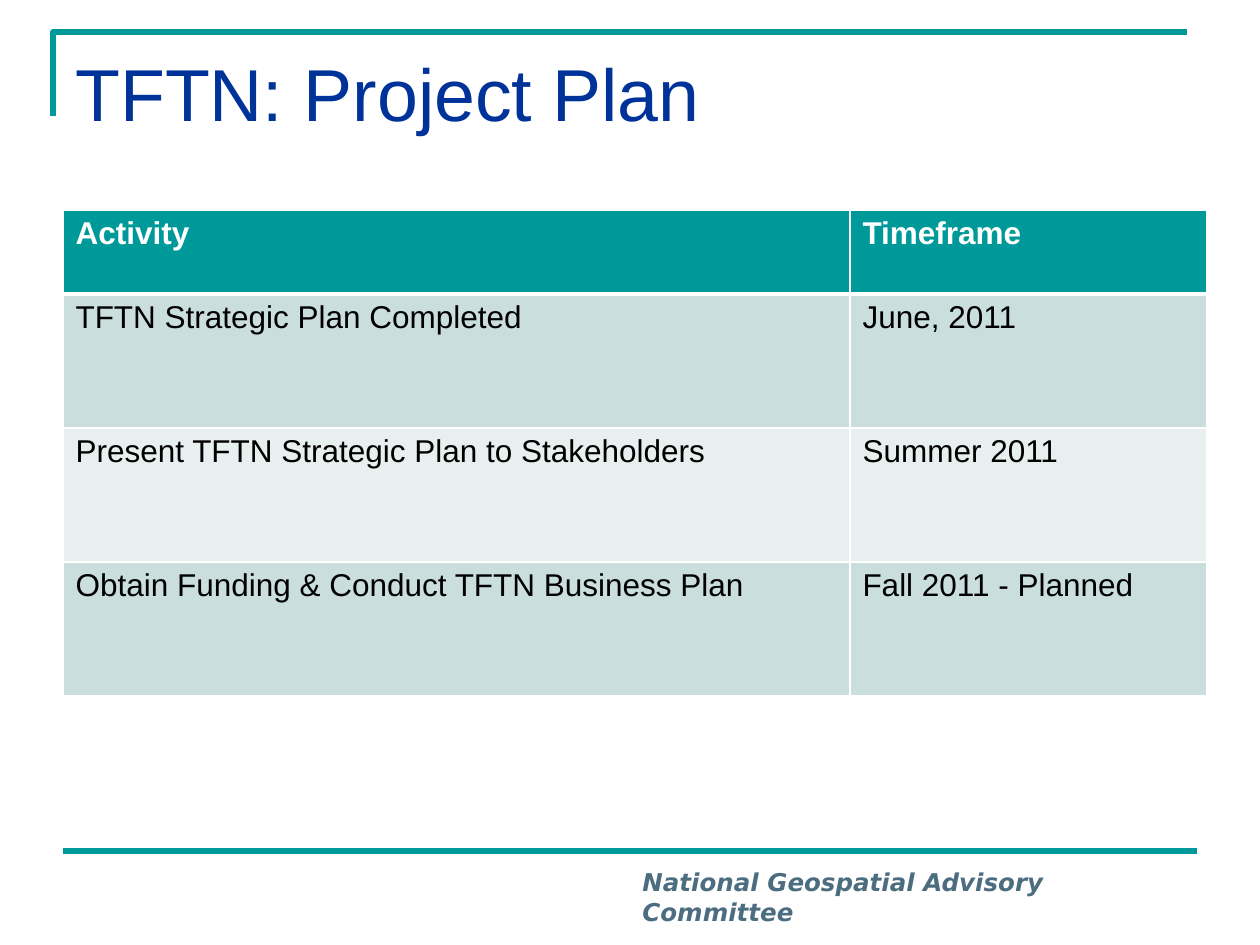
from lxml import etree
from pptx import Presentation
from pptx.dml.color import RGBColor
from pptx.enum.shapes import MSO_CONNECTOR
from pptx.enum.text import MSO_ANCHOR
from pptx.oxml.ns import qn
from pptx.util import Pt

STRAIGHT = MSO_CONNECTOR.STRAIGHT
TOP = MSO_ANCHOR.TOP
PX = 914400 / 126
TEAL, WHITE = "009999", "FFFFFF"


def px(length):
    return round(length * PX)


def style(paragraph, size, name, color, bold=False, italic=False):
    for span in paragraph.runs:
        span.font.size = Pt(size)
        span.font.name = name
        span.font.color.rgb = RGBColor.from_string(color)
        span.font.bold = bold
        span.font.italic = italic


deck = Presentation()
deck.slide_width, deck.slide_height = px(1260), px(945)
page = deck.slides.add_slide(deck.slide_layouts[6])

# Corner bracket around the title
builder = page.shapes.build_freeform(53, 116, scale=PX)
builder.add_line_segments([(53, 32), (1187, 32)], close=False)
bracket = builder.convert_to_shape()
bracket.shadow.inherit = False
bracket.fill.background()

# Footer rule
rule = page.shapes.add_connector(STRAIGHT, px(63), px(851), px(1197), px(851))
etree.SubElement(rule._element.spPr, qn("a:effectLst"))
for outline in (bracket.line, rule.line):
    outline.color.rgb = RGBColor.from_string(TEAL)
    outline.width = Pt(3)

# Footer and title text
texts = [
    ("National Geospatial Advisory Committee", (630, 861, 581, 42),
     (14, "DejaVu Sans", "4C6D80", True, True)),
    ("TFTN: Project Plan", (63, 42, 1134, 157), (42, "Arial", "003399")),
]
for text, place, look in texts:
    box = page.shapes.add_textbox(*map(px, place))
    box.text_frame.word_wrap = True
    box.text_frame.vertical_anchor = TOP
    box.text_frame.text = text
    style(box.text_frame.paragraphs[0], *look)

# Project plan table
rows = [
    ("Activity", "Timeframe"),
    ("TFTN Strategic Plan Completed", "June, 2011"),
    ("Present TFTN Strategic Plan to Stakeholders", "Summer 2011"),
    ("Obtain Funding & Conduct TFTN Business Plan", "Fall 2011 - Planned"),
]
fills = [TEAL, "CBDEDE", "E7EFEF", "CBDEDE"]
widths, heights = [787, 357], [84, 134, 134, 134]
table = page.shapes.add_table(len(rows), len(widths), px(63), px(210),
                              px(sum(widths)), px(sum(heights))).table
for column, width in zip(table.columns, widths):
    column.width = px(width)
for row, height in zip(table.rows, heights):
    row.height = px(height)

for r, row in enumerate(rows):
    header = r == 0
    for c, text in enumerate(row):
        cell = table.cell(r, c)
        cell.text_frame.text = text
        style(cell.text_frame.paragraphs[0], 18, "Arial",
              WHITE if header else "000000", bold=header)
        # Borders come before the fill; the line under the header is thicker
        properties = cell._tc.get_or_add_tcPr()
        thick = {0: "a:lnB", 1: "a:lnT"}.get(r)
        for side in ("a:lnL", "a:lnR", "a:lnT", "a:lnB"):
            border = etree.SubElement(properties, qn(side),
                                      w=str(Pt(3 if side == thick else 1)))
            solid = etree.SubElement(border, qn("a:solidFill"))
            etree.SubElement(solid, qn("a:srgbClr"), val=WHITE)
        cell.fill.solid()
        cell.fill.fore_color.rgb = RGBColor.from_string(fills[r])

deck.save("out.pptx")
